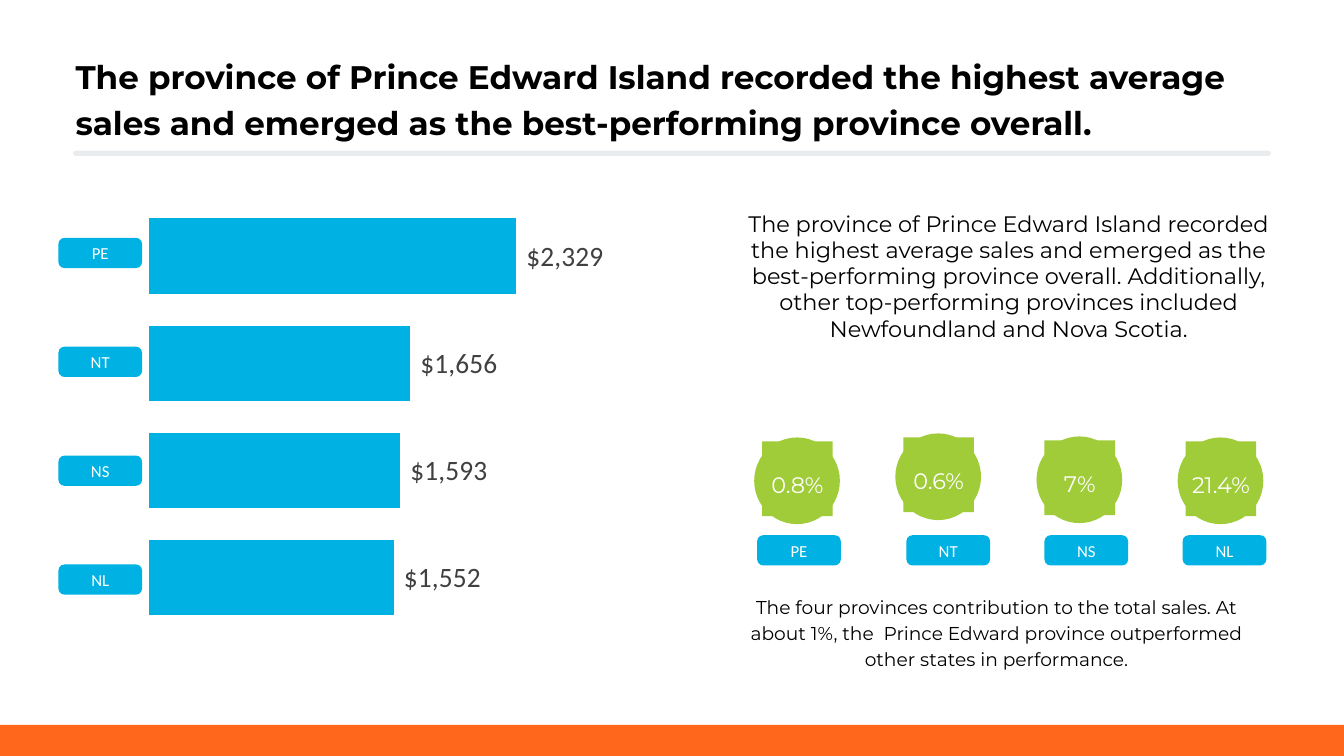
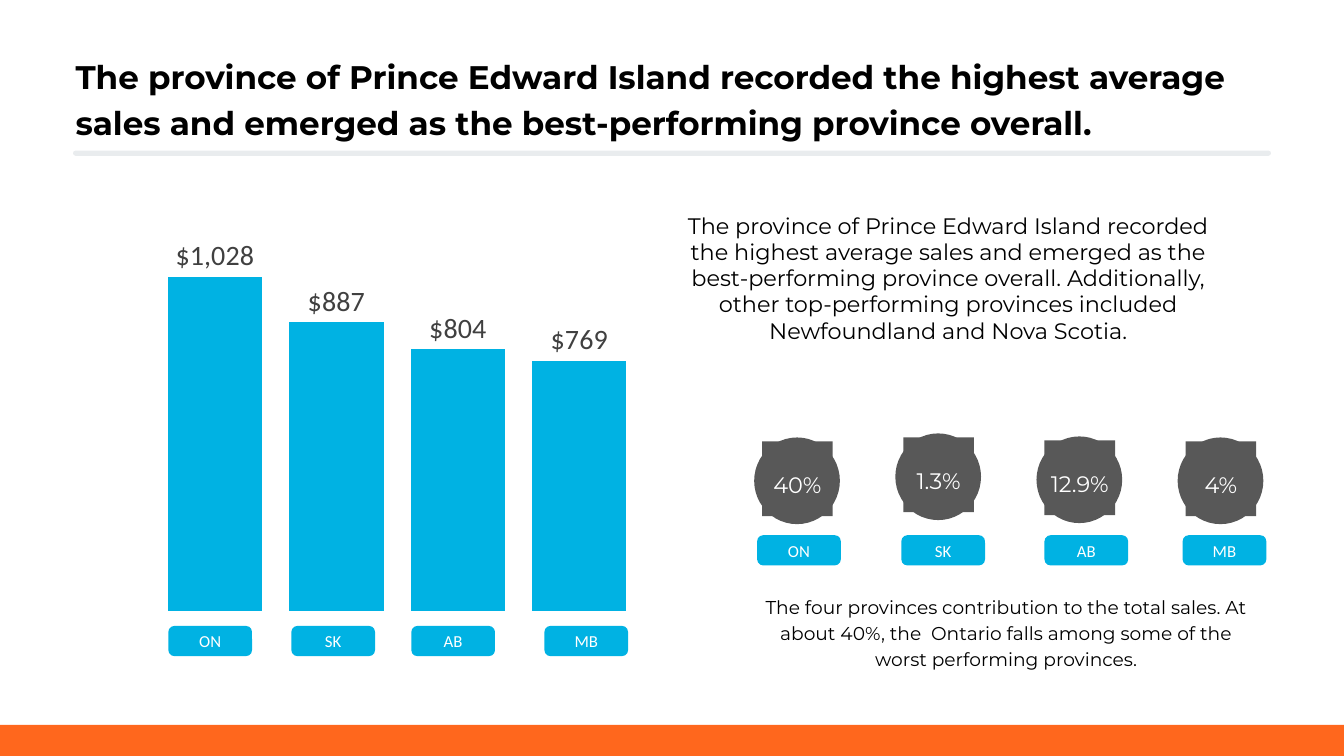
from lxml.etree import SubElement
from pptx import Presentation
from pptx.chart.data import CategoryChartData
from pptx.dml.color import RGBColor
from pptx.enum.chart import XL_CHART_TYPE, XL_LABEL_POSITION
from pptx.enum.shapes import MSO_CONNECTOR, MSO_SHAPE
from pptx.enum.text import MSO_ANCHOR, PP_ALIGN
from pptx.oxml.ns import qn
from pptx.util import Inches, Pt

BLUE, GREEN, GREY, ORANGE = "00B2E3", "A1CC3A", "585858", "FF671D"
NAVY, BLACK, WHITE, DARK = "2E465B", "000000", "FFFFFF", "404040"
WIDE, HIGH = 13.33, 7.5
PILL = (0.83, 0.3)
HEAD = dict(size=Pt(23.3), name="Montserrat", bold=True)
BODY = dict(size=Pt(16), name="Montserrat")
NOTE = dict(size=Pt(13.3), name="Montserrat")
TAG = dict(size=Pt(12), name="Calibri")
VALUE = dict(size=Pt(20), name="Calibri")
FRAME = dict(word_wrap=True, margin_left=0, margin_right=0,
             margin_top=0, margin_bottom=0)
TITLE = ("The province of Prince Edward Island recorded the highest average "
         "sales and emerged as the best-performing province overall.")
STORY = TITLE + (" Additionally, other top-performing provinces included "
                 "Newfoundland and Nova Scotia.")


def put(obj, form):
    """Set each attribute of obj from a dict of format values."""
    for key, val in form.items():
        setattr(obj, key, val)


def paint(fill, tint):
    """Give a fill one solid colour."""
    fill.solid()
    fill.fore_color.rgb = RGBColor.from_string(tint)


def write(shape, text, font, tint, lead=None, align=PP_ALIGN.CENTER,
          anchor=MSO_ANCHOR.MIDDLE):
    """Write one paragraph into a shape."""
    frame = shape.text_frame
    put(frame, dict(FRAME, vertical_anchor=anchor))
    para = frame.paragraphs[0]
    put(para, dict(alignment=align, line_spacing=Pt(lead) if lead else None))
    run = para.add_run()
    run.text = text
    put(run.font, font)
    paint(run.font.fill, tint)


def block(slide, box, text, font, lead, align=PP_ALIGN.CENTER):
    """Place a text box with exact line spacing."""
    shape = slide.shapes.add_textbox(*map(Inches, box))
    write(shape, text, font, BLACK, lead, align, MSO_ANCHOR.TOP)


def solid(slide, kind, box, tint):
    """Place a plain filled shape."""
    shape = slide.shapes.add_shape(kind, *map(Inches, box))
    shape.shadow.inherit = False
    paint(shape.fill, tint)
    shape.line.fill.background()
    return shape


def pill(slide, left, top, text):
    """Place a rounded province tag."""
    shape = solid(slide, MSO_SHAPE.ROUNDED_RECTANGLE, (left, top, *PILL), BLUE)
    shape.adjustments[0] = 0.2
    write(shape, text, TAG, WHITE)


def badge(slide, left, top, text, tint):
    """Place a disc with a square that holds a share."""
    solid(slide, MSO_SHAPE.OVAL, (left, top, 0.85, 0.86), tint)
    core = (left + 0.08, top + 0.04, 0.7, 0.74)
    write(solid(slide, MSO_SHAPE.RECTANGLE, core, tint), text, BODY, WHITE, 28)


def rule(slide, left, top, width):
    """Draw the pale round-ended line below the title."""
    line = slide.shapes.add_connector(
        MSO_CONNECTOR.STRAIGHT, *map(Inches, (left, top, left + width, top)))
    line.line.width = Pt(3.75)
    paint(line.line.fill, NAVY)
    props = line._element.spPr
    SubElement(props, qn("a:effectLst"))
    edge = props.find(qn("a:ln"))
    edge.set("cap", "rnd")
    SubElement(edge.find(".//" + qn("a:srgbClr")), qn("a:alpha"), val="10000")


def base(deck):
    """Add a slide with the shared title, rule and bottom band."""
    slide = deck.slides.add_slide(deck.slide_layouts[6])
    rule(slide, 0.75, 1.52, 11.83)
    block(slide, (0.75, 0.5, 11.83, 0.88), TITLE, HEAD, 32.7, PP_ALIGN.LEFT)
    solid(slide, MSO_SHAPE.RECTANGLE, (0, HIGH - 0.31, WIDE, 0.31), ORANGE)
    return slide


def graph(slide, box, kind, vals, top, gap, area):
    """Place a bar chart without axes; area is the inner plot as shares."""
    data = CategoryChartData()
    data.categories = ["1", "2", "3", "4"]
    data.add_series("Series 1", vals)
    chart = slide.shapes.add_chart(kind, *map(Inches, box), data).chart
    put(chart, dict(has_legend=False, has_title=False))
    put(chart.font, dict(size=Pt(10), name="Calibri"))
    put(chart.category_axis, dict(visible=False, has_major_gridlines=False))
    put(chart.value_axis, dict(visible=False, has_major_gridlines=False,
                               minimum_scale=0, maximum_scale=top))
    plot = chart.plots[0]
    put(plot, dict(gap_width=gap, vary_by_categories=False,
                   has_data_labels=True))
    paint(plot.series[0].format.fill, BLUE)
    labels = plot.data_labels
    put(labels, dict(show_value=True, position=XL_LABEL_POSITION.OUTSIDE_END,
                     number_format='_-"$"#,##0_-',
                     number_format_is_linked=False))
    put(labels.font, VALUE)
    paint(labels.font.fill, DARK)
    zone = chart._chartSpace.chart.plotArea
    for old in zone.findall(qn("c:layout")):
        zone.remove(old)
    lay = SubElement(zone, qn("c:layout"))
    zone.insert(0, lay)
    hand = SubElement(lay, qn("c:manualLayout"))
    parts = dict(layoutTarget="inner", xMode="edge", yMode="edge",
                 **dict(zip("xywh", area)))
    for key, val in parts.items():
        SubElement(hand, qn("c:" + key), val=str(val))


def shares(slide, left, top, tint, items, spots):
    """Place a row of badges, each above its province tag."""
    drops = (0.04, 0, 0.03, 0.04)
    for i, (name, share) in enumerate(items):
        badge(slide, left + 1.4 * i, top + drops[i], share, tint)
        pill(slide, left + spots[i], top + 1.01, name)


def best(deck):
    """Build the slide of the four best provinces."""
    slide = base(deck)
    items = [("PE", "0.8%"), ("NT", "0.6%"), ("NS", "7%"), ("NL", "21.4%")]
    graph(slide, (1.16, 1.62, 4.89, 4.7), XL_CHART_TYPE.BAR_CLUSTERED,
          (1552, 1593, 1656, 2329), 2800, 42, (0.067, 0.083, 0.917, 0.905))
    for i, (name, _) in enumerate(items):
        pill(slide, 0.58, 2.36 + 1.08 * i, name)
    block(slide, (7.25, 2.09, 5.51, 1.33), STORY, BODY, 18.7)
    shares(slide, 7.48, 4.3, GREEN, items, (0.03, 1.51, 2.88, 4.25))
    block(slide, (7.28, 5.87, 5.21, 0.78),
          "The four provinces contribution to the total sales. At about 1%, "
          "the  Prince Edward province outperformed other states in "
          "performance.", NOTE, 18.7)


def worst(deck):
    """Build the slide of the four worst provinces."""
    slide = base(deck)
    items = [("ON", "40%"), ("SK", "1.3%"), ("AB", "12.9%"), ("MB", "4%")]
    graph(slide, (1.43, 2.11, 5.02, 4.02), XL_CHART_TYPE.COLUMN_CLUSTERED,
          (1028, 887, 804, 769), 1200, 29, (0.02, 0.02, 0.96, 0.963))
    for left, (name, _) in zip((1.67, 2.89, 4.08, 5.4), items):
        pill(slide, left, 6.21, name)
    block(slide, (6.65, 2.11, 5.51, 1.33), STORY, BODY, 18.7)
    shares(slide, 7.48, 4.3, GREY, items, (0.03, 1.46, 2.88, 4.25))
    block(slide, (7.48, 5.87, 5, 0.78),
          "The four provinces contribution to the total sales. At about 40%, "
          "the  Ontario falls among some of the worst performing provinces.",
          NOTE, 18.7)


def main():
    """Build and save the deck."""
    deck = Presentation()
    put(deck, dict(slide_width=Inches(WIDE), slide_height=Inches(HIGH)))
    best(deck)
    worst(deck)
    deck.save("out.pptx")


if __name__ == "__main__":
    main()
